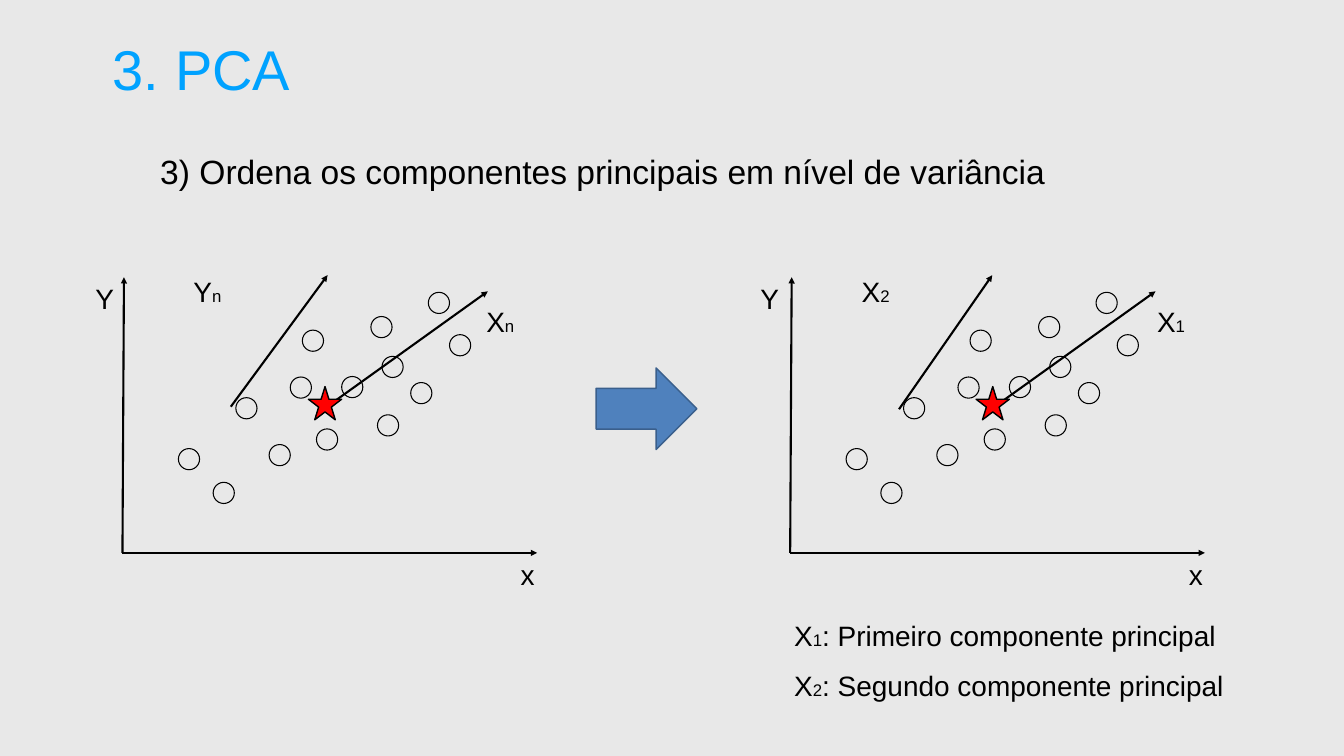
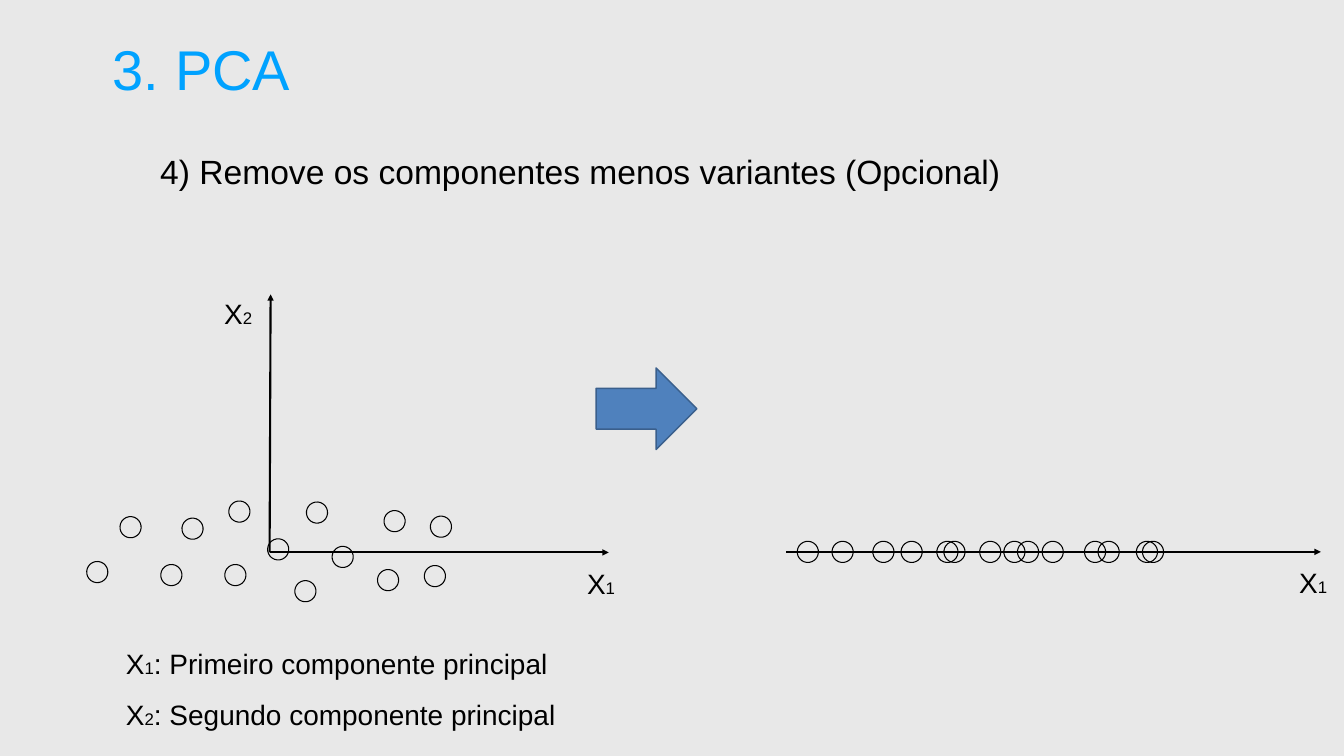
from dataclasses import dataclass
from typing import Iterable, NamedTuple

from lxml import etree
from pptx import Presentation
from pptx import util as u
from pptx.dml.color import RGBColor
from pptx.enum import shapes, text
from pptx.oxml.ns import qn

PX = u.Inches(1) // 100
DOT = 42
DOT_TILT = 35.7
PANEL_SHIFT = 1325


@dataclass(frozen=True)
class Theme:
    font: str = "Arial"
    background: str = "E8E8E8"
    title: str = "00A2FF"
    ink: str = "000000"
    arrow: str = "4F81BD"
    arrow_edge: str = "3A5F8C"
    star: str = "FF0000"
    title_size: int = 80
    step_size: int = 48
    label_size: int = 40
    sub_size: int = 24
    axis_width: float = 3
    edge_width: float = 2
    dot_width: float = 1.5


class Point(NamedTuple):
    x: int
    y: int


class Box(NamedTuple):
    x: int
    y: int
    w: int
    h: int


class Line(NamedTuple):
    base: str
    sub: str = ""
    rest: str = ""


class Label(NamedTuple):
    box: Box
    lines: tuple[Line, ...]
    wrap: bool = True


class Arrow(NamedTuple):
    start: Point
    end: Point


class Panel(NamedTuple):
    shift: int
    minor_axis: Arrow
    labels: tuple[Label, ...]


THEME = Theme()
TITLE_BOX = Box(218, 63, 1955, 144)
STEP_BOX = Box(218, 253, 2168, 331)
BLOCK_ARROW = Box(1183, 730, 200, 162)
STAR = Box(612, 767, 66, 66)

PANEL_ARROWS = (
    Arrow(Point(243, 1097), Point(246, 550)),
    Arrow(Point(243, 1097), Point(1066, 1097)),
)
MAJOR_AXIS = Arrow(Point(646, 809), Point(968, 578))
CLOUD = tuple(Point(*c) for c in (
    (468, 789), (576, 748), (678, 747), (354, 890), (423, 957), (749, 823), (600, 655),
    (534, 882), (815, 759), (850, 580), (628, 851), (892, 664), (758, 707), (736, 628),
))
ROTATED_CLOUD = tuple(Point(*c) for c in (
    (361, 1028), (454, 994), (531, 1069), (238, 1025), (172, 1114), (585, 1152), (608, 996),
    (319, 1120), (749, 1130), (854, 1024), (446, 1120), (842, 1122), (659, 1084), (762, 1013),
))
PROJECTED = tuple(Point(x, 1074) for x in (
    1788, 1873, 1944, 1651, 1582, 1992, 2019, 1732, 2152, 2267, 1859, 2255, 2068, 2179,
))
ROTATED_ARROWS = (
    Arrow(Point(535, 1096), Point(537, 584)),
    Arrow(Point(535, 1096), Point(1208, 1096)),
    Arrow(Point(1560, 1095), Point(2621, 1095)),
)
LEGEND = (
    Line("X", "1", ": Primeiro componente principal"),
    Line("X", "2", ": Segundo componente principal"),
)


def axis_label(x: int, y: int, base: str, sub: str = "", w: int = 182) -> Label:
    return Label(Box(x, y, w, 63), (Line(base, sub),))


def free_label(x: int, y: int, base: str, sub: str) -> Label:
    return Label(Box(x, y, 173, 76), (Line(base, sub),), wrap=False)


PANELS = (
    Panel(0, Arrow(Point(458, 807), Point(650, 546)), (
        axis_label(89, 519, "Y"),
        axis_label(933, 1066, "x"),
        axis_label(865, 564, "X", "n", 202),
        free_label(280, 507, "Y", "n"),
    )),
    Panel(PANEL_SHIFT, Arrow(Point(1784, 812), Point(1969, 546)), (
        axis_label(1409, 519, "Y"),
        axis_label(2259, 1066, "x"),
        axis_label(2196, 564, "X", "1", 471),
        free_label(1606, 507, "X", "2"),
    )),
)
ROTATED_LABELS = (
    axis_label(1065, 1084, "X", "1", 511),
    free_label(341, 551, "X", "2"),
    axis_label(2478, 1082, "X", "1", 189),
)


def rgb(color: str) -> RGBColor:
    return RGBColor.from_string(color)


def add_text(s, box: Box, lines: Iterable[Line], size: int, color: str = THEME.ink,
             indent: int = 94, spacing: float = 1.5, wrap: bool = True,
             anchor=text.MSO_ANCHOR.TOP) -> None:
    sp = s.shapes.add_textbox(*(v * PX for v in box))
    tf = sp.text_frame
    tf.word_wrap = wrap
    tf.vertical_anchor = anchor
    if wrap:
        tf.margin_left = tf.margin_right = tf.margin_top = tf.margin_bottom = 6 * PX
    for i, line in enumerate(lines):
        p = tf.add_paragraph() if i else tf.paragraphs[0]
        p.line_spacing = spacing
        pPr = p._p.get_or_add_pPr()
        pPr.set("marL", str(indent * PX))
        pPr.set("indent", "0")
        p.font.name = THEME.font
        p.font.color.rgb = rgb(color)
        p.font.size = u.Pt(size)
        for part in filter(None, line):
            r = p.add_run()
            r.text = part
            if part is line.sub:
                r.font.size = u.Pt(THEME.sub_size)


def add_label(s, label: Label) -> None:
    add_text(s, label.box, label.lines, THEME.label_size, wrap=label.wrap)


def add_preset(s, kind, box: Box, line: str, width: float, fill: str = "", tilt: float = 0) -> None:
    sp = s.shapes.add_shape(kind, *(v * PX for v in box))
    sp.shadow.inherit = False
    sp.rotation = tilt
    sp.line.color.rgb = rgb(line)
    sp.line.width = u.Pt(width)
    if fill:
        sp.fill.solid()
        sp.fill.fore_color.rgb = rgb(fill)
    else:
        sp.fill.background()


def add_dots(s, dots: Iterable[Point], shift: int = 0, tilt: float = 0) -> None:
    for dot in dots:
        add_preset(s, shapes.MSO_SHAPE.OVAL, Box(dot.x + shift, dot.y, DOT, DOT),
                   THEME.ink, THEME.dot_width, tilt=tilt)


def add_arrow(s, arrow: Arrow, shift: int = 0) -> None:
    (x1, y1), (x2, y2) = arrow
    cx = s.shapes.add_connector(shapes.MSO_CONNECTOR.STRAIGHT, (x1 + shift) * PX, y1 * PX,
                                (x2 + shift) * PX, y2 * PX)
    cx.line.color.rgb = rgb(THEME.ink)
    cx.line.width = u.Pt(THEME.axis_width)
    etree.SubElement(cx.line._get_or_add_ln(), qn("a:tailEnd")).set("type", "triangle")
    etree.SubElement(cx._element.spPr, qn("a:effectLst"))


def add_step_slide(prs, step: str, legend_box: Box):
    s = prs.slides.add_slide(prs.slide_layouts[6])
    add_text(s, TITLE_BOX, [Line("3. PCA")], THEME.title_size, THEME.title,
             indent=0, spacing=1.0, anchor=text.MSO_ANCHOR.MIDDLE)
    add_text(s, STEP_BOX, [Line(step)], THEME.step_size)
    add_preset(s, shapes.MSO_SHAPE.RIGHT_ARROW, BLOCK_ARROW,
               THEME.arrow_edge, THEME.edge_width, THEME.arrow)
    add_label(s, Label(legend_box, LEGEND))
    return s


def add_panel(s, panel: Panel) -> None:
    for arrow in PANEL_ARROWS:
        add_arrow(s, arrow, panel.shift)
    add_dots(s, CLOUD, panel.shift)
    add_arrow(s, panel.minor_axis)
    add_arrow(s, MAJOR_AXIS, panel.shift)
    add_preset(s, shapes.MSO_SHAPE.STAR_5_POINT, STAR._replace(x=STAR.x + panel.shift),
               THEME.ink, THEME.edge_width, THEME.star)
    for label in panel.labels:
        add_label(s, label)


def main() -> None:
    prs = Presentation()
    prs.slide_width, prs.slide_height = 2667 * PX, 1500 * PX
    fill = prs.slide_master.background.fill
    fill.solid()
    fill.fore_color.rgb = rgb(THEME.background)

    s = add_step_slide(prs, "3) Ordena os componentes principais em nível de variância",
                       Box(1476, 1187, 1191, 63))
    for panel in PANELS:
        add_panel(s, panel)

    s = add_step_slide(prs, "4) Remove os componentes menos variantes (Opcional)",
                       Box(150, 1244, 1835, 63))
    add_dots(s, ROTATED_CLOUD + PROJECTED, tilt=DOT_TILT)
    for arrow in ROTATED_ARROWS:
        add_arrow(s, arrow)
    for label in ROTATED_LABELS:
        add_label(s, label)

    prs.save("out.pptx")


if __name__ == "__main__":
    main()
